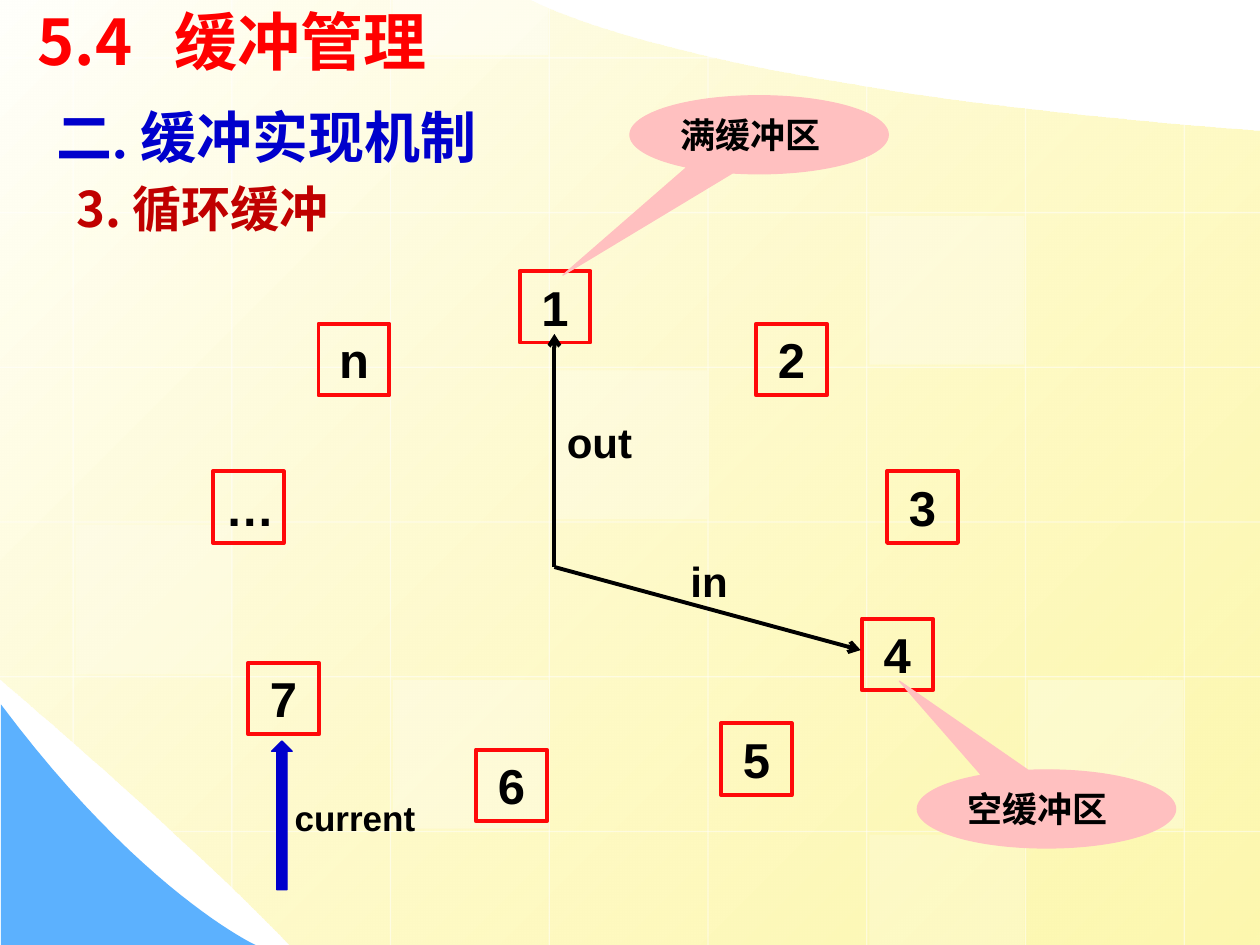
import pptx
import pptx.dml.color
import pptx.enum.shapes
import pptx.enum.text
import pptx.oxml.ns
import pptx.util
from lxml import etree

Pt = pptx.util.Pt
qn = pptx.oxml.ns.qn
RGBColor = pptx.dml.color.RGBColor
SHAPE = pptx.enum.shapes.MSO_SHAPE
STRAIGHT = pptx.enum.shapes.MSO_CONNECTOR.STRAIGHT
ALIGN = pptx.enum.text.PP_ALIGN

WHITE = RGBColor(0xFF, 0xFF, 0xFF)
BLACK = RGBColor(0x00, 0x00, 0x00)
IVORY = RGBColor(0xFF, 0xFF, 0xFB)
YELLOW = RGBColor(0xFD, 0xF5, 0x8D)
SKY = RGBColor(0x5C, 0xB1, 0xFE)
RED = RGBColor(0xFF, 0x00, 0x00)
BORDER_RED = RGBColor(0xFF, 0x09, 0x09)
DARK_RED = RGBColor(0xC0, 0x00, 0x00)
BLUE = RGBColor(0x00, 0x00, 0xCC)
PINK = RGBColor(0xFF, 0xC0, 0xC0)
CJK = "Noto Sans CJK SC"
WIDTH, HEIGHT = 720, 540


def set_opacity(shape, percent):
    """Make the last colour of the shape's fill or line see-through."""
    color = shape.element.spPr.findall(".//" + qn("a:srgbClr"))[-1]
    etree.SubElement(color, qn("a:alpha"), val=str(percent * 1000))


def write(shape, text, size, color=BLACK, font="Arial", align=ALIGN.LEFT):
    frame = shape.text_frame
    frame.word_wrap = True
    frame.auto_size = pptx.enum.text.MSO_AUTO_SIZE.NONE
    frame.vertical_anchor = pptx.enum.text.MSO_ANCHOR.TOP
    para = frame.paragraphs[0]
    para.text = text
    para.alignment = align
    para.space_before = Pt(0)
    para.font.size = Pt(size)
    para.font.bold = True
    para.font.color.rgb = color
    para.font.name = font
    defaults = para._p.pPr.find(qn("a:defRPr"))
    etree.SubElement(defaults, qn("a:ea"), typeface=CJK)


deck = pptx.Presentation()
deck.slide_width, deck.slide_height = Pt(WIDTH), Pt(HEIGHT)
page = deck.slides.add_slide(deck.slide_layouts[1])
shapes = page.shapes
title, body = page.placeholders

# Curved background areas: one point is a straight edge, three are a Bezier curve
sheet_edges = [
    [(720, 540)],
    [(165.6, 540)],
    [(104, 476), (0, 388), (0, 388)],
    [(0, 0)],
    [(303, 0)],
    [(303, 0), (387, 50), (720, 75)],
]
corner_edges = [[(0.5, 540)], [(146, 540)], [(146, 540), (81, 510), (0.5, 402.5)]]
areas = []
for start, edges in [((720, 75), sheet_edges), ((0.5, 402.5), corner_edges)]:
    outline = [start]
    for edge in edges:
        if len(edge) == 1:
            outline += edge
            continue
        controls = [outline[-1], *edge]
        for step in range(1, 25):
            t = step / 24
            weights = [(1 - t) ** 3, 3 * t * (1 - t) ** 2, 3 * t**2 * (1 - t), t**3]
            outline.append(tuple(
                sum(w * point[axis] for w, point in zip(weights, controls))
                for axis in (0, 1)))
    points = [(Pt(x), Pt(y)) for x, y in outline]
    builder = shapes.build_freeform(*points[0])
    builder.add_line_segments(points[1:], close=True)
    area = builder.convert_to_shape()
    area.shadow.inherit = False
    area.line.fill.background()
    areas.append(area)
sheet, corner = areas
sheet.fill.gradient()
sheet.fill.gradient_angle = 315
for stop, color in zip(sheet.fill.gradient_stops, (IVORY, YELLOW)):
    stop.color.rgb = color
set_opacity(sheet, 70)
corner.fill.solid()
corner.fill.fore_color.rgb = SKY

# Background grid
columns = [41.8 + 90.7 * i for i in range(8)]
rows = [33.1 + 88.4 * i for i in range(6)]
tops = [0, 0, 0, 0, 31, 49, 61.2, 70.6]
bottoms = [438.5, 517.7] + [HEIGHT] * 6
lefts = [0] * 5 + [80]
rights = [409] + [WIDTH] * 5
grid = [(x, top, x, bottom) for x, top, bottom in zip(columns, tops, bottoms)]
grid += [(right, y, left, y) for y, left, right in zip(rows, lefts, rights)]
for ends in grid:
    line = shapes.add_connector(STRAIGHT, *map(Pt, ends))
    line.line.color.rgb = WHITE
    line.line.width = Pt(0.75)
    set_opacity(line, 50)

# Pale grid cells: column, row, opacity
for column, row, opacity in [(3, 2, 25), (6, 4, 30), (0, 3, 20), (5, 5, 20),
                             (2, -1, 40), (2, 4, 30), (5, 1, 30)]:
    upper = rows[0] + 88.4 * row + 1.8
    top, bottom = max(upper, 0), min(upper + 85, HEIGHT)
    cell = shapes.add_shape(SHAPE.RECTANGLE, Pt(columns[column] + 1.5), Pt(top),
                            Pt(88.6), Pt(bottom - top))
    cell.shadow.inherit = False
    cell.fill.solid()
    cell.fill.fore_color.rgb = WHITE
    cell.line.fill.background()
    set_opacity(cell, opacity)

# Headings, brought in front of the background
for heading in (title, body):
    heading.element.getparent().append(heading.element)
subheading = shapes.add_textbox(0, 0, 0, 0)
title_props = title.text_frame.paragraphs[0]._p.get_or_add_pPr()
tabs = etree.SubElement(title_props, qn("a:tabLst"))
etree.SubElement(tabs, qn("a:tab"), pos=str(Pt(78)), algn="l")
body_props = body.text_frame.paragraphs[0]._p.get_or_add_pPr()
body_props.set("marL", "0")
body_props.set("indent", "0")
etree.SubElement(body_props, qn("a:buNone"))
for heading, place, text, size, color, font in [
    (title, (14.4, -2, 561.6, 50.4), "5.4\t缓冲管理", 36, RED, CJK),
    (body, (25.2, 54.7, 368.6, 46), "二. 缓冲实现机制", 32, BLUE, "Times New Roman"),
    (subheading, (36.7, 98.6, 412.6, 41), "3. 循环缓冲", 28, DARK_RED, CJK),
]:
    heading.left, heading.top, heading.width, heading.height = map(Pt, place)
    write(heading, text, size, color, font)

# Ring of buffers
for label, x, y in [("2", 432, 185), ("3", 506.9, 269.3), ("4", 492.5, 353.5),
                    ("1", 296.9, 154.8), ("n", 182, 185), ("…", 121.7, 269.3),
                    ("7", 141.8, 378.7), ("6", 272, 428.4), ("5", 412, 413.3)]:
    buffer = shapes.add_shape(SHAPE.RECTANGLE, Pt(x), Pt(y), Pt(40.5), Pt(41))
    buffer.shadow.inherit = False
    buffer.fill.background()
    buffer.line.color.rgb = BORDER_RED
    buffer.line.width = Pt(2.25)
    write(buffer, label, 28, align=ALIGN.CENTER)

# Pointers
for tip in [(316.8, 190.8), (491.8, 371.5)]:
    pointer = shapes.add_connector(STRAIGHT, Pt(316.8), Pt(324), *map(Pt, tip))
    pointer.line.color.rgb = BLACK
    pointer.line.width = Pt(2.25)
    etree.SubElement(pointer.line._get_or_add_ln(), qn("a:tailEnd"), type="arrow")
for shape in shapes:
    if shape.element.tag == qn("p:cxnSp"):
        etree.SubElement(shape.element.spPr, qn("a:effectLst"))

current = shapes.add_shape(SHAPE.UP_ARROW, Pt(155.2), Pt(423.4), Pt(11.8), Pt(85))
current.shadow.inherit = False
current.fill.solid()
current.fill.fore_color.rgb = BLUE
current.line.color.rgb = BLUE
current.line.width = Pt(0.75)

for text, size, place in [("out", 24, (316.8, 234.7, 65.5, 36)),
                          ("in", 24, (387.4, 313.9, 49.7, 36)),
                          ("current", 20, (161.3, 451.4, 90.7, 31.7))]:
    write(shapes.add_textbox(*map(Pt, place)), text, size)

for text, x, y, tail in [("满缓冲区", 360, 54.7, (-0.76, 1.8)),
                         ("空缓冲区", 524.2, 440, (-0.57, -1.64))]:
    callout = shapes.add_shape(SHAPE.OVAL_CALLOUT, Pt(x), Pt(y), Pt(147.6), Pt(44.6))
    callout.shadow.inherit = False
    callout.adjustments[0], callout.adjustments[1] = tail
    callout.fill.solid()
    callout.fill.fore_color.rgb = PINK
    callout.line.color.rgb = PINK
    callout.line.width = Pt(0.75)
    write(callout, text, 20)

deck.save("out.pptx")
